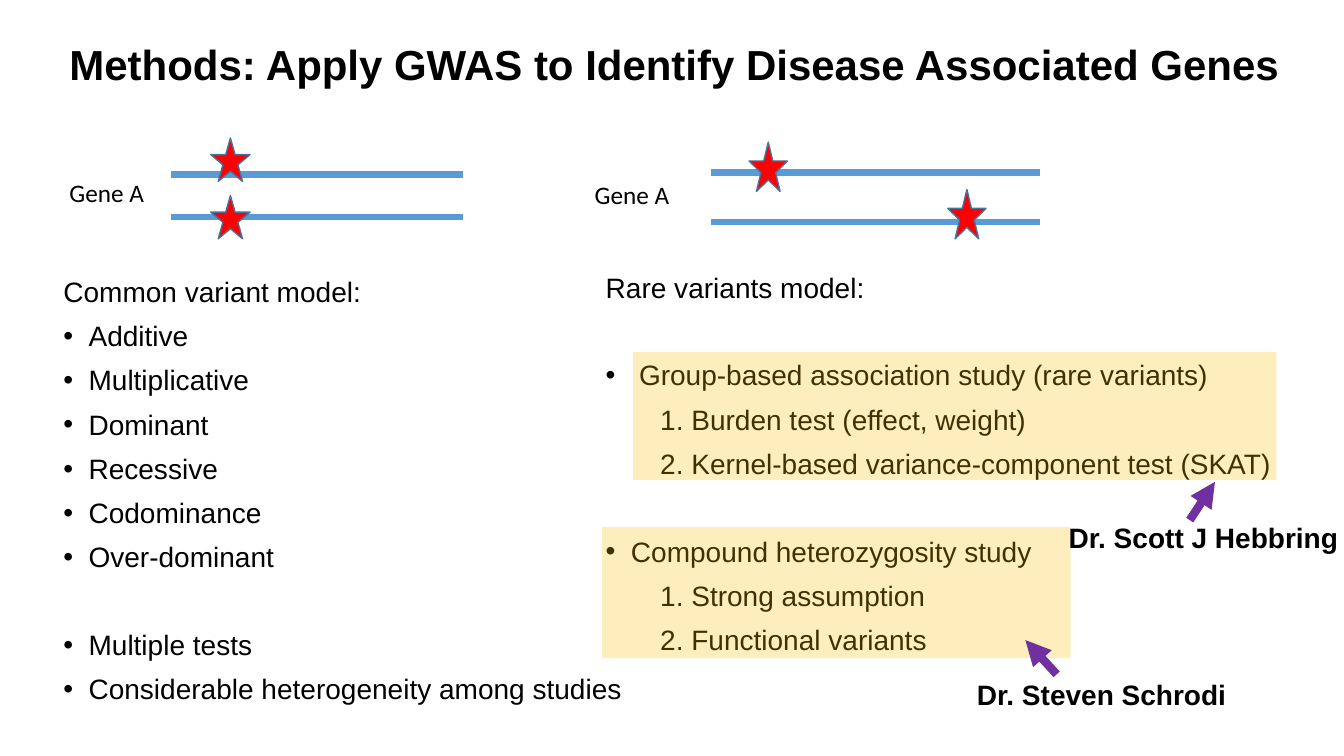
from dataclasses import dataclass
from typing import Any

from lxml import etree
from pptx import Presentation
from pptx.dml.color import RGBColor
from pptx.enum.shapes import MSO_CONNECTOR, MSO_SHAPE
from pptx.enum.text import MSO_AUTO_SIZE
from pptx.oxml.ns import qn
from pptx.util import Inches, Pt

STRAIGHT = MSO_CONNECTOR.STRAIGHT
STAR, RECTANGLE = MSO_SHAPE.STAR_5_POINT, MSO_SHAPE.RECTANGLE
FIT_SHAPE = MSO_AUTO_SIZE.SHAPE_TO_FIT_TEXT


@dataclass(frozen=True)
class Theme:
    text: str = "000000"
    strand: str = "5B9BD5"
    star: str = "FF0000"
    star_edge: str = "43739E"
    highlight: str = "FFC000"
    highlight_alpha: int = 26
    arrow: str = "7030A0"
    font: str = "Arial"
    gene_font: str = "Calibri"
    title_size: int = 30
    body_size: int = 20
    gene_size: int = 18
    strand_width: float = 4.5
    arrow_width: float = 6
    space: int = 10
    section_space: int = 41


THEME = Theme()


@dataclass(frozen=True)
class Box:
    left: float
    top: float
    width: float
    height: float

    def emu(self) -> tuple[int, ...]:
        return tuple(Inches(v) for v in (self.left, self.top, self.width, self.height))


@dataclass(frozen=True)
class Label:
    text: str
    box: Box
    size: int = THEME.body_size
    font: str = THEME.font
    bold: bool = True


@dataclass(frozen=True)
class Line:
    text: str
    indent: float = 0.25
    bullet: bool = True
    new_section: bool = False


@dataclass(frozen=True)
class GenePair:
    left: float
    right: float
    strands: tuple[float, float]
    stars: tuple[Box, Box]


@dataclass(frozen=True)
class Arrow:
    start: tuple[float, float]
    end: tuple[float, float]


LABELS = [
    Label("Methods: Apply GWAS to Identify Disease Associated Genes",
          Box(0.59, 0.33, 12.33, 0.61), THEME.title_size),
    Label("Gene A", Box(0.59, 1.71, 0.95, 0.4), THEME.gene_size, THEME.gene_font, False),
    Label("Gene A", Box(5.8, 1.73, 0.95, 0.4), THEME.gene_size, THEME.gene_font, False),
    Label("Dr. Steven Schrodi", Box(9.59, 6.67, 2.7, 0.44)),
    Label("Dr. Scott J Hebbring", Box(10.5, 5.11, 2.88, 0.44)),
]
GENE_PAIRS = [
    GenePair(7.05, 10.32, (1.71, 2.2),
             (Box(7.43, 1.41, 0.38, 0.49), Box(9.4, 1.88, 0.38, 0.49))),
    GenePair(1.7, 4.59, (1.73, 2.15),
             (Box(2.09, 1.37, 0.39, 0.43), Box(2.09, 1.94, 0.39, 0.43))),
]
COMMON_BOX = Box(0.53, 2.71, 6.28, 3.93)
COMMON_MODEL = [
    Line("Common variant model:", 0, False),
    Line("Additive"),
    Line("Multiplicative"),
    Line("Dominant"),
    Line("Recessive"),
    Line("Codominance"),
    Line("Over-dominant"),
    Line("Multiple tests", new_section=True),
    Line("Considerable heterogeneity among studies"),
]
RARE_BOX = Box(5.91, 2.67, 7.13, 3.78)
STEP_INDENT = 0.54
RARE_MODEL = [
    Line("Rare variants model:", 0, False),
    Line("Group-based association study (rare variants)", 0.33, new_section=True),
    Line("1. Burden test (effect, weight)", STEP_INDENT, False),
    Line("2. Kernel-based variance-component test (SKAT)", STEP_INDENT, False),
    Line("Compound heterozygosity study", new_section=True),
    Line("1. Strong assumption", STEP_INDENT, False),
    Line("2. Functional variants", STEP_INDENT, False),
]
HIGHLIGHTS = [Box(5.97, 5.23, 4.65, 1.3), Box(6.28, 3.49, 6.38, 1.27)]
ARROWS = [Arrow((10.48, 6.69), (10.17, 6.35)), Arrow((11.8, 5.16), (12.05, 4.78))]


def rgb(color: str) -> RGBColor:
    return RGBColor.from_string(color)


def add_run(p: Any, text: str, size: int, font: str, bold: bool = False) -> None:
    r = p.add_run()
    r.text = text
    r.font.size, r.font.name, r.font.bold = Pt(size), font, bold
    r.font.color.rgb = rgb(THEME.text)


def add_label(shapes: Any, label: Label) -> None:
    tf = shapes.add_textbox(*label.box.emu()).text_frame
    tf.word_wrap = False
    tf.auto_size = FIT_SHAPE
    add_run(tf.paragraphs[0], label.text, label.size, label.font, label.bold)


def add_body(shapes: Any, box: Box, lines: list[Line]) -> None:
    tf = shapes.add_textbox(*box.emu()).text_frame
    tf.word_wrap = True
    for i, line in enumerate(lines):
        p = tf.add_paragraph() if i else tf.paragraphs[0]
        p.line_spacing = 0.9
        p.space_before = Pt(THEME.section_space if line.new_section else THEME.space)
        props = p._p.get_or_add_pPr()
        props.set("marL", str(Inches(line.indent)))
        props.set("indent", str(-Inches(line.indent) if line.bullet else 0))
        if line.bullet:
            etree.SubElement(props, qn("a:buFont")).set("typeface", THEME.font)
            etree.SubElement(props, qn("a:buChar")).set("char", "•")
        add_run(p, line.text, THEME.body_size, THEME.font)


def add_line(shapes: Any, start: tuple[float, float], end: tuple[float, float],
             color: str, width: float) -> Any:
    s = shapes.add_connector(STRAIGHT, *(Inches(v) for v in (*start, *end)))
    s.line.color.rgb = rgb(color)
    s.line.width = Pt(width)
    etree.SubElement(s._element.spPr, qn("a:effectLst"))
    return s


def add_shape(shapes: Any, kind: Any, box: Box, color: str) -> Any:
    s = shapes.add_shape(kind, *box.emu())
    s.shadow.inherit = False
    s.fill.solid()
    s.fill.fore_color.rgb = rgb(color)
    return s


def add_gene_pair(shapes: Any, pair: GenePair) -> None:
    group = shapes.add_group_shape().shapes
    for y in pair.strands:
        add_line(group, (pair.left, y), (pair.right, y), THEME.strand, THEME.strand_width)
    for box in pair.stars:
        s = add_shape(group, STAR, box, THEME.star)
        s.line.color.rgb = rgb(THEME.star_edge)
        s.line.width = Pt(1)


def add_highlight(shapes: Any, box: Box) -> None:
    s = add_shape(shapes, RECTANGLE, box, THEME.highlight)
    s.line.fill.background()
    color = s._element.spPr.find(qn("a:solidFill"))[0]
    etree.SubElement(color, qn("a:alpha")).set("val", str(THEME.highlight_alpha * 1000))


def add_arrow(shapes: Any, arrow: Arrow) -> None:
    s = add_line(shapes, arrow.start, arrow.end, THEME.arrow, THEME.arrow_width)
    ln = s._element.spPr.find(qn("a:ln"))
    etree.SubElement(ln, qn("a:tailEnd")).set("type", "triangle")


def main() -> None:
    prs = Presentation()
    prs.slide_width, prs.slide_height = Inches(13.33), Inches(7.5)
    shapes = prs.slides.add_slide(prs.slide_layouts[6]).shapes
    for pair in GENE_PAIRS:
        add_gene_pair(shapes, pair)
    add_body(shapes, COMMON_BOX, COMMON_MODEL)
    add_body(shapes, RARE_BOX, RARE_MODEL)
    for box in HIGHLIGHTS:
        add_highlight(shapes, box)
    for label in LABELS:
        add_label(shapes, label)
    for arrow in ARROWS:
        add_arrow(shapes, arrow)
    prs.save("out.pptx")


if __name__ == "__main__":
    main()
